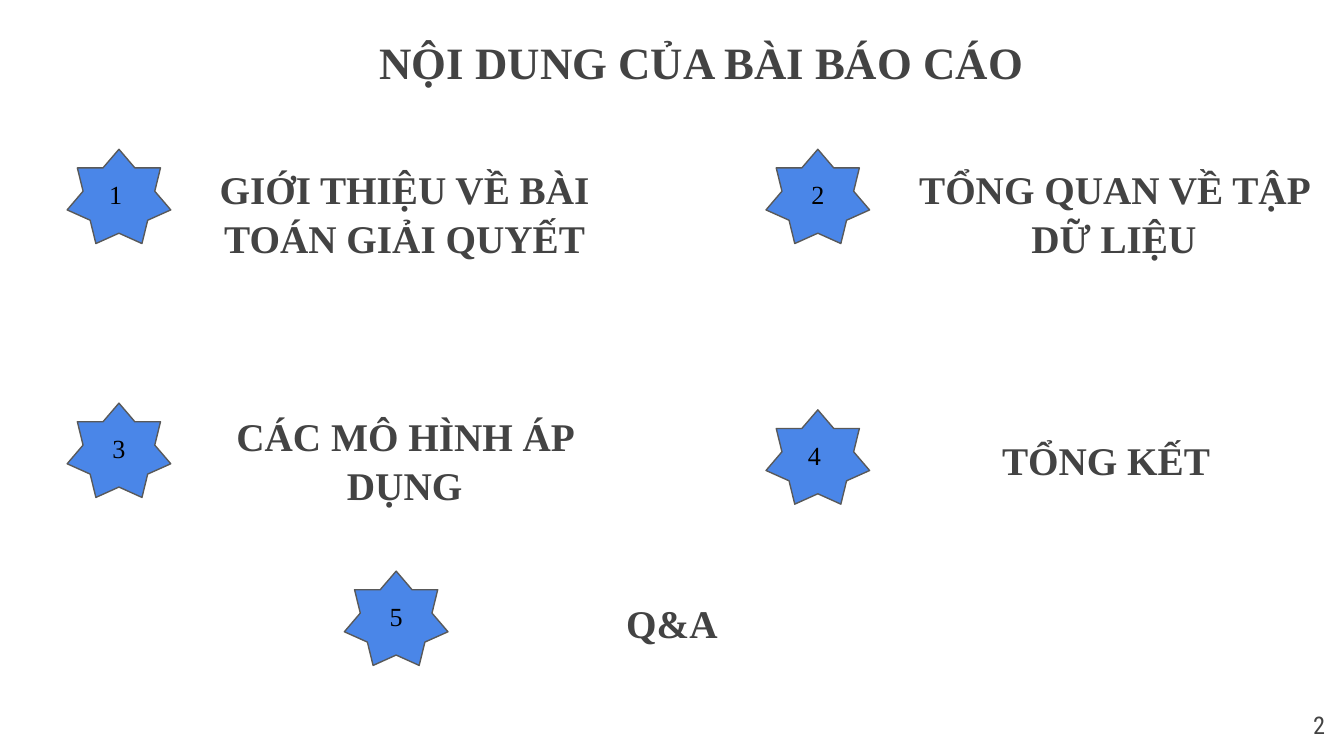
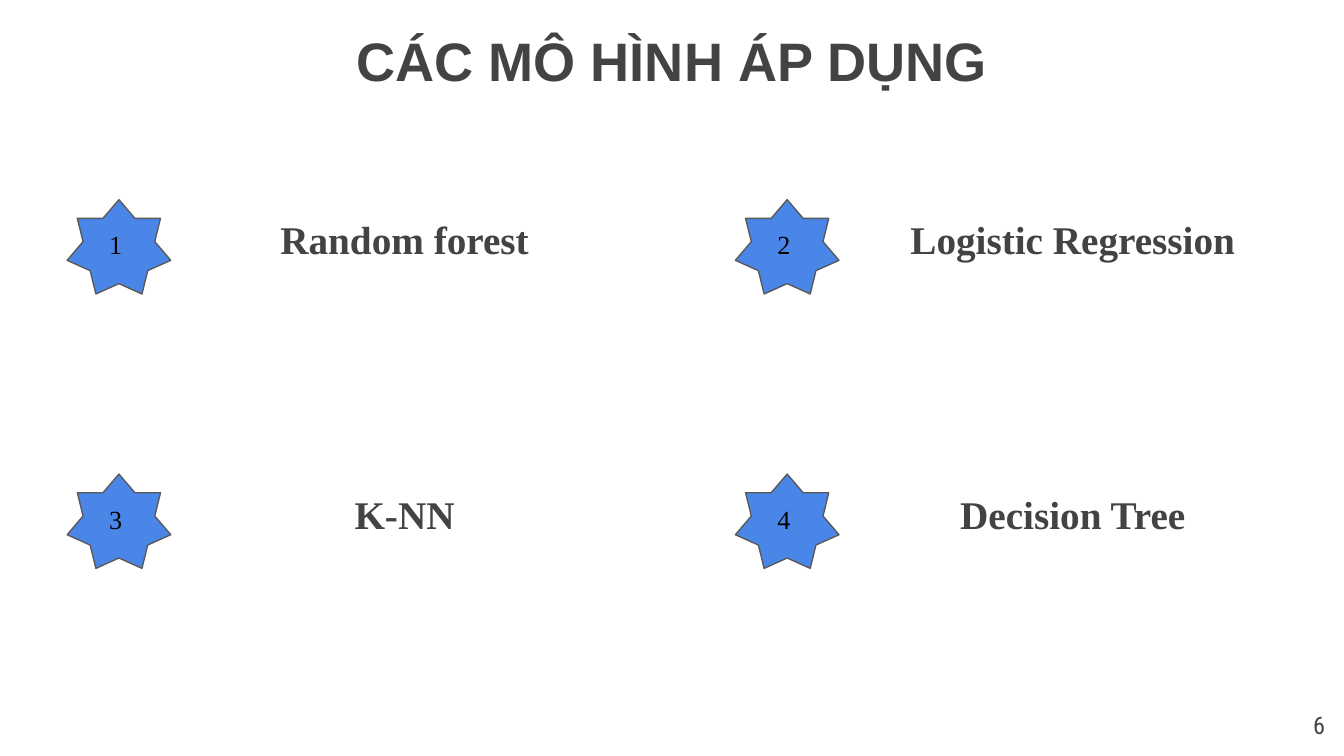
from itertools import product

from pptx import Presentation
from pptx.dml.color import RGBColor
from pptx.enum import shapes, text
from pptx.util import Pt

INK, BLUE, EDGE, BLACK = "434343", "4A86E8", "595959", "000000"
SERIF = "Times New Roman"
ALIGN, ANCHOR = text.PP_ALIGN, text.MSO_ANCHOR
PAD = 7.2


def color(code):
    return RGBColor.from_string(code)


class Deck:
    title_font = dict(name=SERIF, size=Pt(24), bold=True)
    label_font = dict(name=SERIF, size=Pt(21), bold=True)
    star_font = dict(name=SERIF, size=Pt(14))
    page_font = dict(name="Roboto Condensed", size=Pt(13))

    def __init__(self):
        self.prs = Presentation()
        self.prs.slide_width, self.prs.slide_height = Pt(720), Pt(405)
        self.slide = None

    def letter(self, shape, words, font, ink=INK, align=ALIGN.CENTER,
               anchor=ANCHOR.TOP, pitch=None):
        """Set the words of a shape and their format."""
        frame = shape.text_frame
        frame.text = words
        form = dict(word_wrap=True, auto_size=text.MSO_AUTO_SIZE.NONE,
                    vertical_anchor=anchor)
        for side in ("left", "top", "right", "bottom"):
            form["margin_" + side] = Pt(PAD)
        for key, value in form.items():
            setattr(frame, key, value)
        para = frame.paragraphs[0]
        para.alignment = align
        if pitch:
            para.line_spacing = pitch
        run = para.runs[0]
        for key, value in font.items():
            setattr(run.font, key, value)
        run.font.color.rgb = color(ink)

    def page(self, number):
        """Start a slide and put its number in the corner."""
        self.slide = self.prs.slides.add_slide(self.prs.slide_layouts[5])
        box = self.slide.shapes.add_textbox(Pt(674), Pt(373.5), Pt(43), Pt(31))
        self.letter(box, str(number), self.page_font, align=ALIGN.RIGHT)

    def title(self, words, x, y, high, **font):
        shape = self.slide.shapes.title
        place = dict(left=x, top=y, width=410.4, height=high)
        for key, value in place.items():
            setattr(shape, key, Pt(value))
        self.letter(shape, words, {**self.title_font, **font}, pitch=1.05)

    def star(self, mark, x, y):
        shape = self.slide.shapes.add_shape(
            shapes.MSO_SHAPE.STAR_7_POINT, Pt(x), Pt(y), Pt(55.5), Pt(50.5))
        shape.shadow.inherit = False
        shape.fill.solid()
        shape.fill.fore_color.rgb = color(BLUE)
        shape.line.color.rgb = color(EDGE)
        shape.line.width = Pt(0.75)
        self.letter(shape, mark, self.star_font, BLACK, anchor=ANCHOR.MIDDLE)

    def label(self, words, x, y):
        box = self.slide.shapes.add_textbox(Pt(x), Pt(y), Pt(227.5), Pt(58.5))
        self.letter(box, words, self.label_font, pitch=1.05)


def agenda(deck):
    deck.page(2)
    deck.title("NỘI DUNG CỦA BÀI BÁO CÁO ", 173.5, 10, 74)
    left, right = 36, 410.4
    items = [
        ("1 ", left, 80, "GIỚI THIỆU VỀ BÀI TOÁN GIẢI QUYẾT", 103, 80),
        ("2", right, 80, "TỔNG QUAN VỀ TẬP DỮ LIỆU", 483, 80),
        ("3", left, 216, "CÁC MÔ HÌNH ÁP DỤNG", 103, 212.4),
        ("4 ", right, 219.6, "TỔNG KẾT", 478.8, 225.4),
        ("5", 184.5, 306, "Q&A", 246.2, 312.5),
    ]
    for mark, x, y, words, lx, ly in items:
        deck.star(mark, x, y)
        deck.label(words, lx, ly)


def models(deck):
    deck.page(6)
    deck.title("CÁC MÔ HÌNH ÁP DỤNG", 154.8, 5.8, 50.4,
               name="Arial", size=Pt(29))
    names = ["Random forest", "Logistic Regression", "K-NN", "Decision Tree"]
    grid = product((107, 254), (36, 394))
    for count, (words, (y, x)) in enumerate(zip(names, grid), 1):
        deck.star(f"{count} ", x, y)
        deck.label(words, x + 67, y)


def main():
    deck = Deck()
    agenda(deck)
    models(deck)
    deck.prs.save("out.pptx")


if __name__ == "__main__":
    main()
